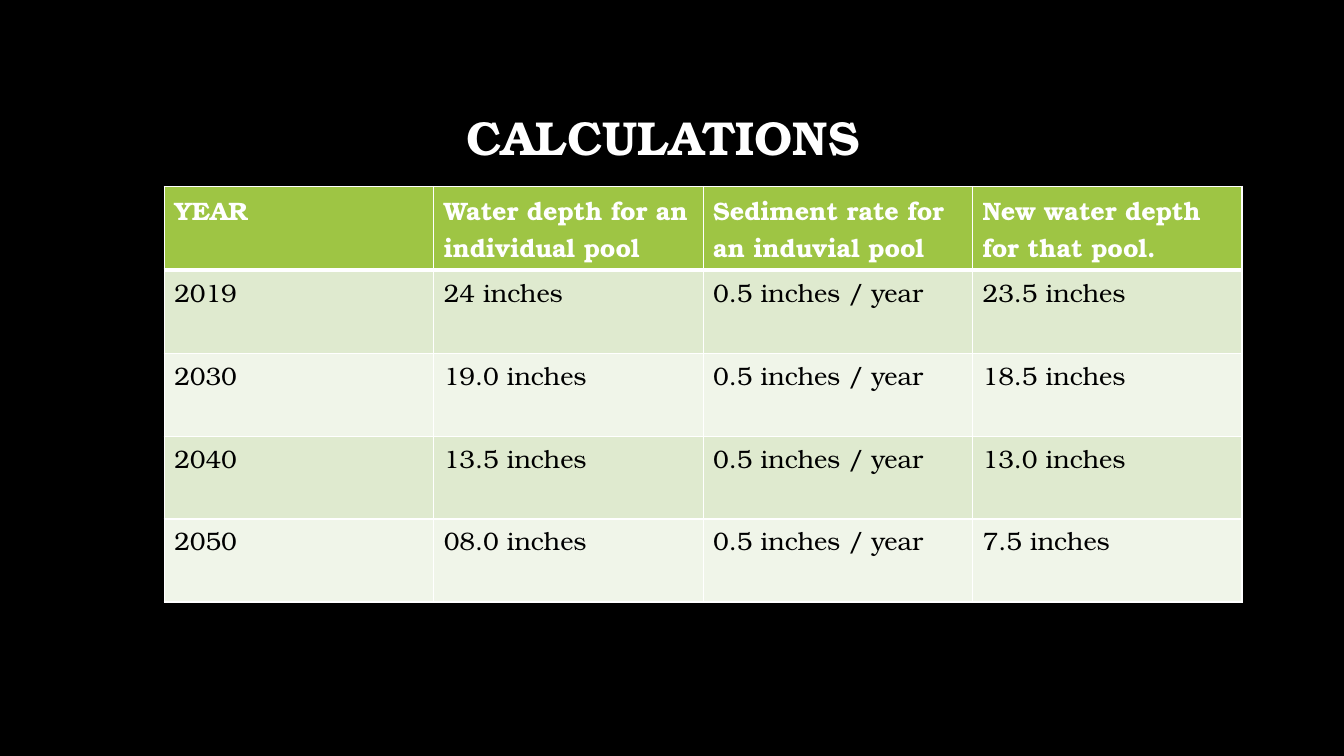
"""Build the slide of pool depth calculations."""
from dataclasses import dataclass

from lxml import etree
from pptx import Presentation, util as u
from pptx.dml import color
from pptx.enum import text

FONT = "TeX Gyre Bonum"
WHITE, BLACK = "FFFFFF", "000000"
HEADER_FILL, BAND_FILLS = "9EC544", ("DFEACF", "F0F5E9")
THIN, THICK = 1, 3
COLUMN_WIDTH, ROW_HEIGHT = u.Cm(6.79), u.Cm(2.09)
RATE = "0.5 inches / year"


@dataclass(frozen=True)
class PoolRow:
    year: str
    depth: str
    rate: str
    new_depth: str

    def values(self) -> tuple[str, ...]:
        return self.year, self.depth, self.rate, self.new_depth


ROWS = [
    PoolRow("YEAR", "Water depth for an individual pool",
            "Sediment rate for an induvial pool", "New water depth for that pool."),
    PoolRow("2019", "24 inches", RATE, "23.5 inches"),
    PoolRow("2030", "19.0 inches", RATE, "18.5 inches"),
    PoolRow("2040", "13.5 inches", RATE, "13.0 inches"),
    PoolRow("2050", "08.0 inches", RATE, "7.5 inches"),
]


def paint(fill, hex_colour: str) -> None:
    fill.solid()
    fill.fore_color.rgb = color.RGBColor.from_string(hex_colour)


def write(frame, words: str, *, size: float, colour: str, bold: bool = False,
          align=text.PP_ALIGN.LEFT, spacing: float = 1.0) -> None:
    para = frame.paragraphs[0]
    para.alignment = align
    para.line_spacing = spacing
    span = para.add_run()
    span.text = words
    span.font.name = FONT
    span.font.size = u.Pt(size)
    span.font.bold = bold
    paint(span.font.fill, colour)


def add_borders(cell, top: float, bottom: float) -> None:
    properties = cell._tc.get_or_add_tcPr()
    namespace = "{http://schemas.openxmlformats.org/drawingml/2006/main}"
    for side, width in (("L", THIN), ("R", THIN), ("T", top), ("B", bottom)):
        line = etree.SubElement(properties, f"{namespace}ln{side}", w=str(u.Pt(width)))
        fill = etree.SubElement(line, f"{namespace}solidFill")
        etree.SubElement(fill, f"{namespace}srgbClr", val=WHITE)


def add_title(page) -> None:
    box = page.shapes.title
    box.left, box.top, box.width, box.height = map(u.Cm, (2.54, 1.7, 28.75, 3.68))
    box.text_frame.word_wrap = True
    box.text_frame.vertical_anchor = text.MSO_ANCHOR.MIDDLE
    write(box.text_frame, "CALCULATIONS ", size=34, colour=WHITE, bold=True,
          align=text.PP_ALIGN.CENTER, spacing=0.9)


def add_depth_table(page) -> None:
    column_count = len(ROWS[0].values())
    table = page.shapes.add_table(
        len(ROWS), column_count, u.Cm(4.14), u.Cm(4.7),
        COLUMN_WIDTH * column_count, ROW_HEIGHT * len(ROWS)).table
    for column in table.columns:
        column.width = COLUMN_WIDTH
    for index, row in enumerate(ROWS):
        table.rows[index].height = ROW_HEIGHT
        header = index == 0
        for position, words in enumerate(row.values()):
            cell = table.cell(index, position)
            write(cell.text_frame, words, size=18, bold=header,
                  colour=WHITE if header else BLACK)
            add_borders(cell, top=THICK if index == 1 else THIN,
                        bottom=THICK if header else THIN)
            paint(cell.fill, HEADER_FILL if header else BAND_FILLS[(index - 1) % 2])


def main() -> None:
    deck = Presentation()
    deck.slide_width, deck.slide_height = u.Cm(33.87), u.Cm(19.05)
    page = deck.slides.add_slide(deck.slide_layouts.get_by_name("Title Only"))
    paint(page.background.fill, BLACK)
    add_title(page)
    add_depth_table(page)
    deck.save("out.pptx")


if __name__ == "__main__":
    main()
